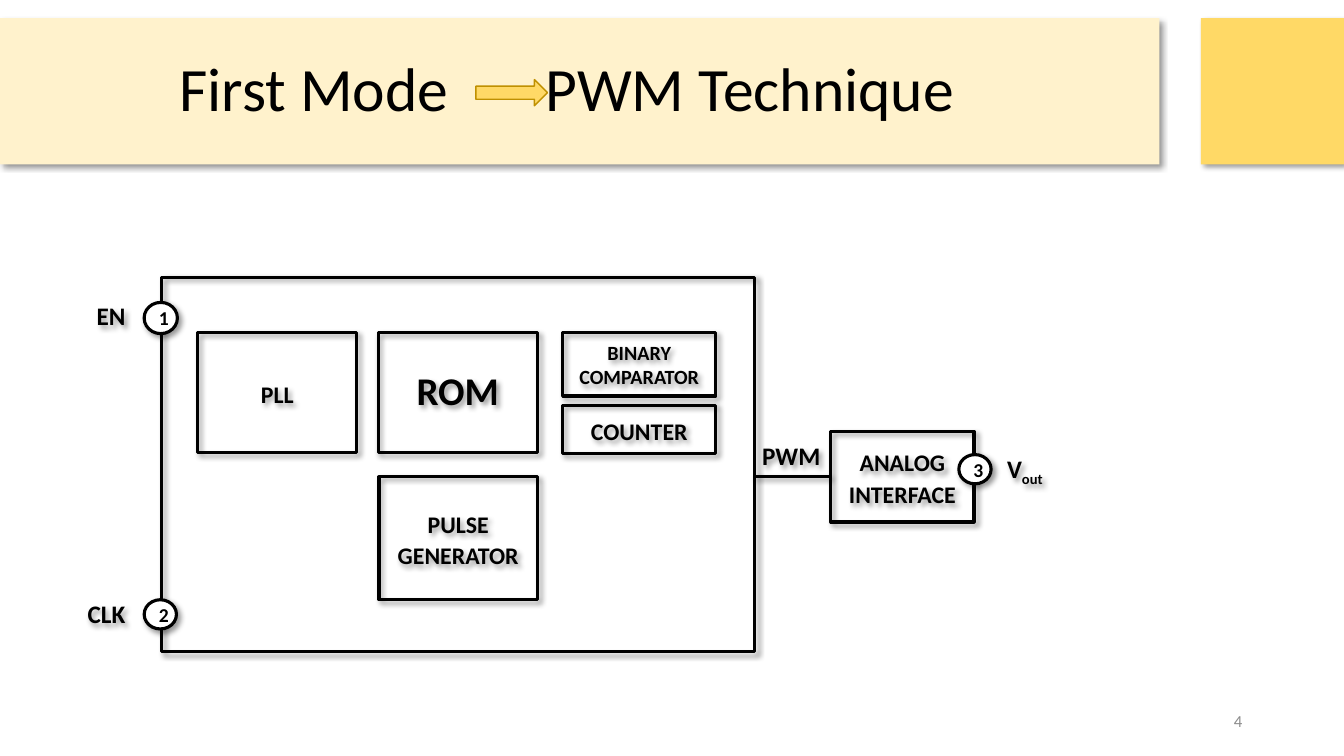
"""Build the slide showing the block diagram of the PWM mode."""
from lxml import etree
from pptx import Presentation
from pptx.dml.color import RGBColor
from pptx.enum.shapes import MSO_CONNECTOR, MSO_SHAPE
from pptx.enum.text import MSO_ANCHOR, PP_ALIGN
from pptx.oxml.ns import qn
from pptx.util import Pt

PX = 9144
RECT, OVAL, ARROW = MSO_SHAPE.RECTANGLE, MSO_SHAPE.OVAL, MSO_SHAPE.RIGHT_ARROW
STRAIGHT = MSO_CONNECTOR.STRAIGHT
LEFT, MID, RIGHT = PP_ALIGN.LEFT, PP_ALIGN.CENTER, PP_ALIGN.RIGHT
TOP, HALF = MSO_ANCHOR.TOP, MSO_ANCHOR.MIDDLE
BLACK = RGBColor(0x00, 0x00, 0x00)
WHITE = RGBColor(0xFF, 0xFF, 0xFF)
CREAM = RGBColor(0xFF, 0xF2, 0xCC)
GOLD = RGBColor(0xFF, 0xD9, 0x66)
BROWN = RGBColor(0xBF, 0x90, 0x00)
GRAY = RGBColor(0x8C, 0x8C, 0x8C)
FONT = "Calibri"

BLOCK = dict(size=17, gap=1.1, before=3.4, after=6)
BLOCKS = [
    ("PLL", (196, 330, 158, 119), BLOCK),
    ("ROM", (375, 330, 158, 119), dict(size=28, gap=0.9, before=10)),
    ("PULSE GENERATOR", (376, 473, 157, 122), BLOCK),
    ("BINARY COMPARATOR", (558, 330, 152, 63),
     dict(size=14.4, before=2.9, after=6)),
    ("COUNTER", (558, 402, 152, 48), BLOCK),
]
LABELS = [
    ("EN", (86, 293, 58, 40)),
    ("CLK", (77, 589, 65, 40)),
    ("PWM", (746, 432, 102, 40)),
]
PINS = [
    ("1", (143, 300, 33, 31)),
    ("2", (143, 595, 32, 29)),
    ("3", (951, 451, 32, 29)),
]


def scale(*sizes):
    """Turn px into EMU."""
    return [size * PX for size in sizes]


def shade(shape, on=True):
    """Give a shape a soft shadow, or none at all."""
    props = shape._element.spPr
    for old in props.findall(qn("a:effectLst")):
        props.remove(old)
    effect = etree.SubElement(props, qn("a:effectLst"))
    if on:
        outer = etree.SubElement(
            effect, qn("a:outerShdw"), blurRad=str(Pt(4)), dist=str(Pt(3)),
            dir="2700000", algn="tl", rotWithShape="0")
        color = etree.SubElement(outer, qn("a:srgbClr"), val=str(BLACK))
        etree.SubElement(color, qn("a:alpha"), val="40000")


def write(shape, text, size=18, color=BLACK, bold=True, align=MID,
          anchor=HALF, gap=1.0, before=0, after=0):
    """Put one formatted paragraph into a shape and return it."""
    frame = shape.text_frame
    frame.word_wrap = True
    frame.vertical_anchor = anchor
    para = frame.paragraphs[0]
    para.alignment = align
    para.line_spacing = gap
    para.space_before, para.space_after = Pt(before), Pt(after)
    add_run(para, text, size, color, bold)
    return para


def add_run(para, text, size, color, bold):
    """Append a run and return its font."""
    run = para.add_run()
    run.text = text
    font = run.font
    font.name, font.size, font.bold = FONT, Pt(size), bold
    font.color.rgb = color
    return font


def draw(slide, kind, box, fill=None, line=None, width=2.25, shadow=True):
    """Add a preset shape with its fill, outline and shadow."""
    shape = slide.shapes.add_shape(kind, *scale(*box))
    if fill is None:
        shape.fill.background()
    else:
        shape.fill.solid()
        shape.fill.fore_color.rgb = fill
    if line is None:
        shape.line.fill.background()
    else:
        shape.line.color.rgb = line
        shape.line.width = Pt(width)
    shade(shape, shadow)
    return shape


def add_block(slide, text, box, style):
    """Add an outlined block with its name."""
    shape = draw(slide, RECT, box, line=BLACK)
    write(shape, text, **style)
    return shape


def add_label(slide, text, box):
    """Add a shaded signal name and return its paragraph."""
    shape = slide.shapes.add_textbox(*scale(*box))
    shade(shape)
    return write(shape, text, align=LEFT, anchor=TOP)


def add_title(slide):
    """Add the title band, with a tab stop leaving room for the arrow."""
    band = draw(slide, RECT, (0, 18, 1150, 145), fill=CREAM)
    band.text_frame.margin_left = 178 * PX
    para = write(band, "First Mode\tPWM Technique", size=44, bold=False,
                 align=LEFT, gap=0.9)
    tabs = etree.SubElement(para._p.get_or_add_pPr(), qn("a:tabLst"))
    etree.SubElement(tabs, qn("a:tab"), pos=str(363 * PX), algn="l")


def add_link(slide, block):
    """Draw the line that ends at the left side of a block."""
    link = slide.shapes.add_connector(STRAIGHT, *scale(747, 473, 824, 473))
    link.end_connect(block, 1)
    link.line.color.rgb = BLACK
    link.line.width = Pt(2.25)
    shade(link)


def main():
    """Build and save the slide."""
    deck = Presentation()
    deck.slide_width, deck.slide_height = scale(1333, 750)
    slide = deck.slides.add_slide(deck.slide_layouts[6])

    add_title(slide)
    draw(slide, RECT, (160, 275, 588, 371), line=BLACK)
    for text, box, style in BLOCKS:
        add_block(slide, text, box, style)
    analog = add_block(slide, "ANALOG INTERFACE", (824, 428, 142, 90), BLOCK)
    add_link(slide, analog)

    for text, box in LABELS:
        add_label(slide, text, box)
    volt = add_label(slide, "V", (989, 445, 75, 40))
    sub = add_run(volt, "out", 18, BLACK, True)
    sub._element.set("baseline", "-25000")

    for text, box in PINS:
        pin = draw(slide, OVAL, box, fill=WHITE, line=BLACK)
        write(pin, text, size=14)

    draw(slide, RECT, (1191, 18, 142, 145), fill=GOLD)
    draw(slide, ARROW, (472, 79, 71, 26), fill=GOLD, line=BROWN, width=1,
         shadow=False)
    page = slide.shapes.add_textbox(*scale(942, 695, 300, 40))
    write(page, "4", size=12, color=GRAY, bold=False, align=RIGHT)
    deck.save("out.pptx")


if __name__ == "__main__":
    main()
